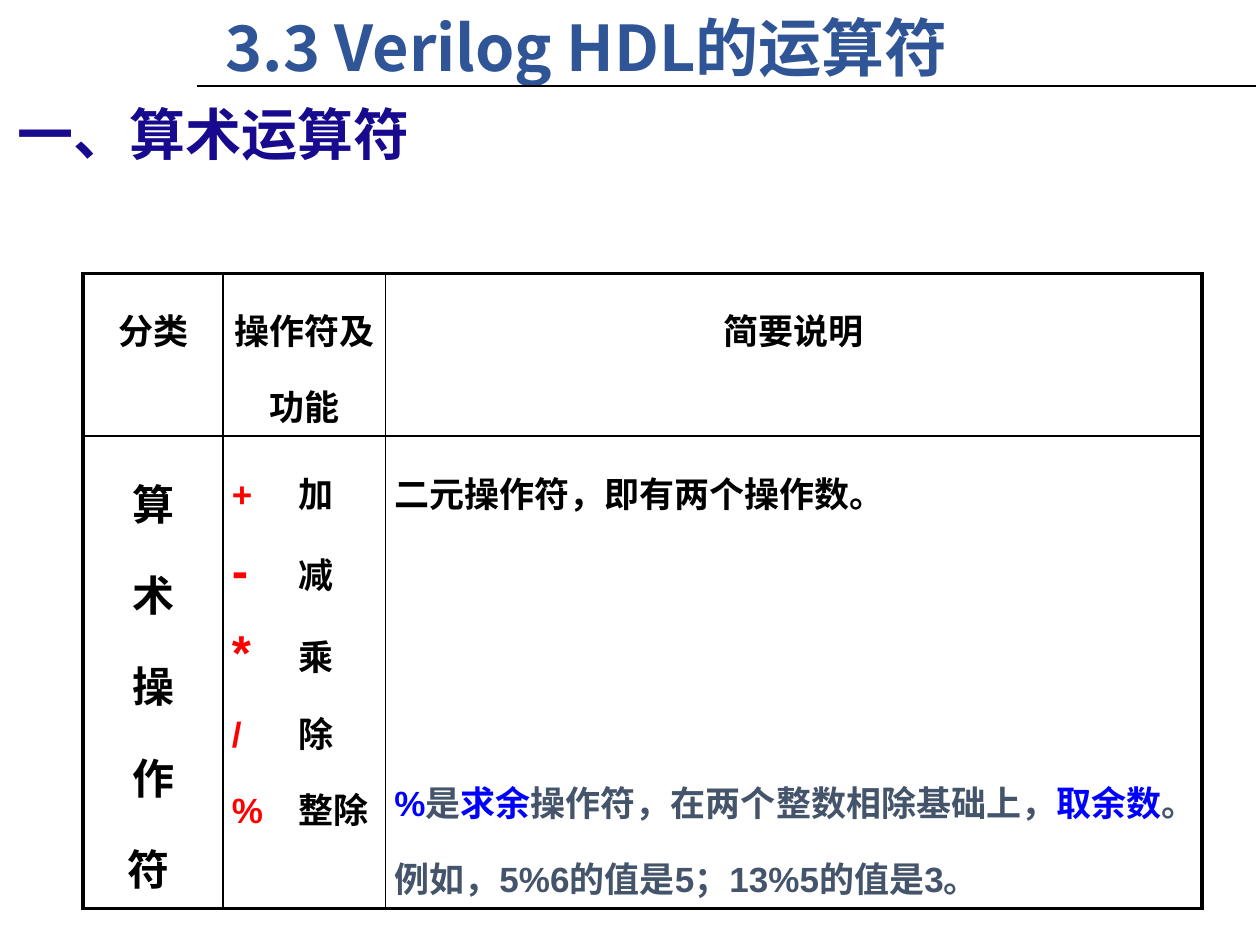
from lxml.etree import SubElement
from pptx import Presentation
from pptx.dml.color import RGBColor
from pptx.enum.shapes import MSO_CONNECTOR
from pptx.enum.text import MSO_ANCHOR, MSO_AUTO_SIZE, PP_ALIGN
from pptx.oxml.ns import qn
from pptx.util import Inches, Pt

BLACK = RGBColor(0x00, 0x00, 0x00)
RED = RGBColor(0xFF, 0x00, 0x00)
BLUE = RGBColor(0x00, 0x00, 0xFF)
SLATE = RGBColor(0x44, 0x54, 0x6A)
NAVY = RGBColor(0x17, 0x0A, 0x8E)
TITLE_BLUE = RGBColor(0x2F, 0x55, 0x97)
LATIN, HAN = "Arial", "Noto Sans CJK SC"

HEADERS = ["分类", "操作符及功能", "简要说明"]
CATEGORY = ["算", "术", "操", "作", "符 "]
OPERATORS = [("+", 20, "加"), ("-", 28, "减"), ("*", 28, "乘"), ("/", 20, "除"), ("%", 20, "整除")]
NOTES = [
    [("二元操作符，即有两个操作数。", BLACK)],
    [("%", BLUE), ("是", SLATE), ("求余", BLUE), ("操作符，在两个整数相除基础上，", SLATE),
     ("取余数", BLUE), ("。", SLATE)],
    [("例如，5%6的值是5；13%5的值是3。", SLATE)],
]


def style_paragraph(paragraph, size, color, latin=LATIN, align=PP_ALIGN.LEFT):
    """Set the alignment and the bold font of a paragraph."""
    paragraph.alignment = align
    font = paragraph.font
    font.size, font.bold, font.name = Pt(size), True, latin
    font.color.rgb = color
    SubElement(paragraph._p.pPr.find(qn("a:defRPr")), qn("a:ea"), typeface=HAN)


def add_run(paragraph, text, color):
    """Append a coloured run."""
    run = paragraph.add_run()
    run.text = text
    run.font.color.rgb = color
    return run


def fill_heading(shape, box, text, size, color):
    """Place a one-line heading in its box."""
    shape.left, shape.top, shape.width, shape.height = map(Inches, box)
    frame = shape.text_frame
    frame.text = text
    frame.word_wrap = True
    frame.auto_size = MSO_AUTO_SIZE.NONE
    frame.vertical_anchor = MSO_ANCHOR.MIDDLE
    style_paragraph(frame.paragraphs[0], size, color, HAN)


def add_title_rule(slide, left, top, width):
    """Draw the rule under the title."""
    start, end = Inches(left), Inches(left + width)
    rule = slide.shapes.add_connector(MSO_CONNECTOR.STRAIGHT, start, Inches(top), end, Inches(top))
    rule.line.color.rgb = BLACK
    rule.line.width = Pt(1.25)
    SubElement(rule._element.spPr, qn("a:effectLst"))


def set_borders(cell, widths):
    """Give a cell black borders, widths in points by side."""
    properties = cell._tc.get_or_add_tcPr()
    for side in "LRTB":
        line = SubElement(properties, qn(f"a:ln{side}"), w=str(Pt(widths[side])))
        fill = SubElement(line, qn("a:solidFill"))
        SubElement(fill, qn("a:srgbClr"), val=str(BLACK))


def cell_paragraphs(cell, count):
    """Return the cell's paragraphs, extended to the given count."""
    frame = cell.text_frame
    for _ in range(count - 1):
        frame.add_paragraph()
    for paragraph in frame.paragraphs:
        paragraph.line_spacing = 1.5
    return frame.paragraphs


def fill_centered(cell, lines, size):
    """Write centred black lines."""
    for paragraph, line in zip(cell_paragraphs(cell, len(lines)), lines):
        style_paragraph(paragraph, size, BLACK, align=PP_ALIGN.CENTER)
        add_run(paragraph, line, BLACK)


def fill_operators(cell):
    """Write each operator with its meaning at a tab stop."""
    for paragraph, (symbol, size, meaning) in zip(cell_paragraphs(cell, len(OPERATORS)), OPERATORS):
        tabs = SubElement(paragraph._p.get_or_add_pPr(), qn("a:tabLst"))
        SubElement(tabs, qn("a:tab"), pos=str(Inches(0.53)), algn="l")
        style_paragraph(paragraph, 20, BLACK)
        add_run(paragraph, symbol, RED).font.size = Pt(size)
        add_run(paragraph, "\t" + meaning, BLACK)


def fill_notes(cell):
    """Write the notes, the remainder note level with its operator."""
    paragraphs = cell_paragraphs(cell, len(NOTES))
    paragraphs[1].space_before = Pt(133)
    for paragraph, runs in zip(paragraphs, NOTES):
        style_paragraph(paragraph, 20, runs[0][1])
        for text, color in runs:
            add_run(paragraph, text, color)


def add_operator_table(slide, left, top, column_widths, row_heights):
    """Build the table of arithmetic operators."""
    rows, columns = len(row_heights), len(column_widths)
    table = slide.shapes.add_table(
        rows, columns, Inches(left), Inches(top),
        Inches(sum(column_widths)), Inches(sum(row_heights))).table
    table.first_row = table.horz_banding = False
    for column, width in zip(table.columns, column_widths):
        column.width = Inches(width)
    for row, height in zip(table.rows, row_heights):
        row.height = Inches(height)
    for r in range(rows):
        for c in range(columns):
            cell = table.cell(r, c)
            cell.margin_left = cell.margin_right = Inches(0.07)
            cell.margin_top = cell.margin_bottom = Inches(0.04)
            edges = {"L": c == 0, "R": c == columns - 1, "T": r == 0, "B": r == rows - 1}
            set_borders(cell, {side: 2.25 if outer else 1 for side, outer in edges.items()})
            cell.fill.background()
    for c, header in enumerate(HEADERS):
        fill_centered(table.cell(0, c), [header], 20)
    fill_centered(table.cell(1, 0), CATEGORY, 24)
    fill_operators(table.cell(1, 1))
    fill_notes(table.cell(1, 2))


def main():
    """Build and save the slide."""
    deck = Presentation()
    deck.slide_width, deck.slide_height = Inches(10), Inches(7.5)
    slide = deck.slides.add_slide(deck.slide_layouts[5])
    add_operator_table(slide, 0.66, 2.17, [1.11, 1.29, 6.48], [1.29, 3.75])
    section = slide.shapes.add_textbox(0, 0, 0, 0)
    fill_heading(section, (0.04, 0.74, 6.51, 0.64), "一、算术运算符", 32, NAVY)
    add_title_rule(slide, 1.56, 0.68, 8.41)
    fill_heading(slide.shapes.title, (1.69, 0.01, 7.89, 0.71),
                 "3.3 Verilog HDL的运算符", 36, TITLE_BLUE)
    deck.save("out.pptx")


if __name__ == "__main__":
    main()
